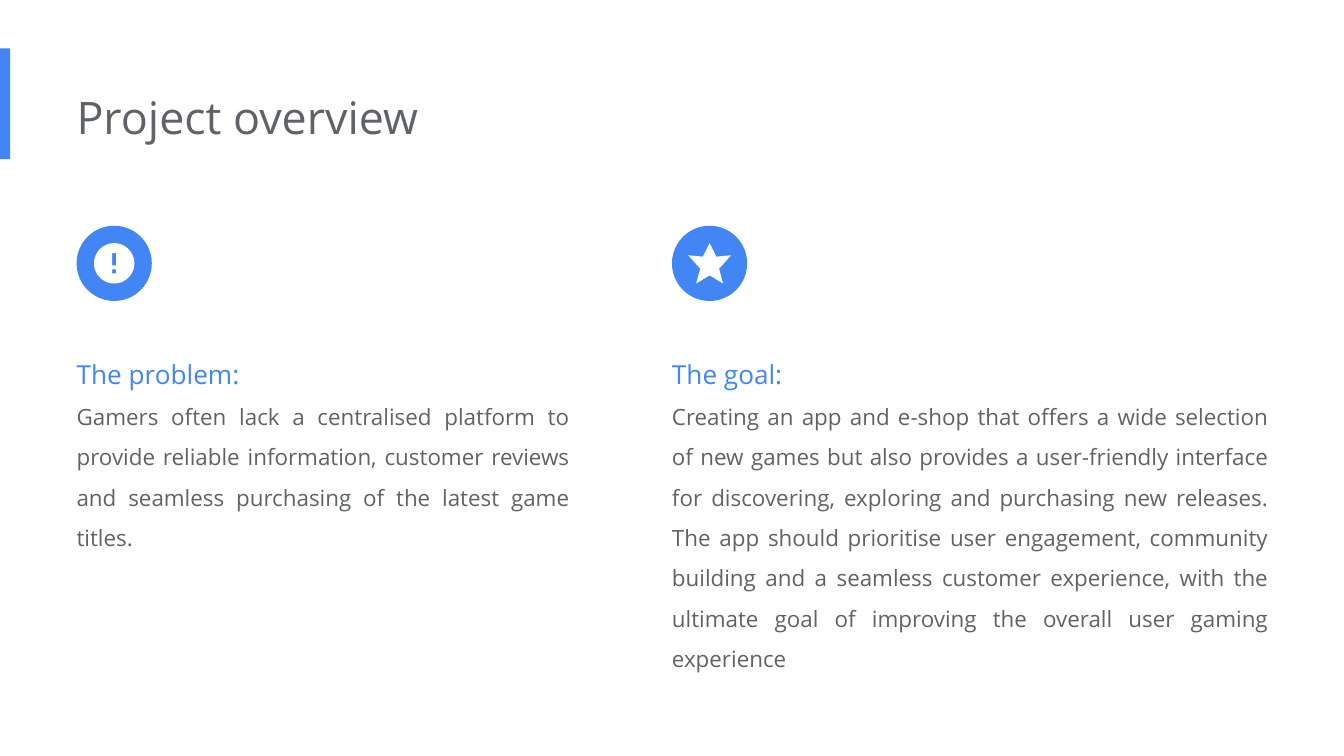
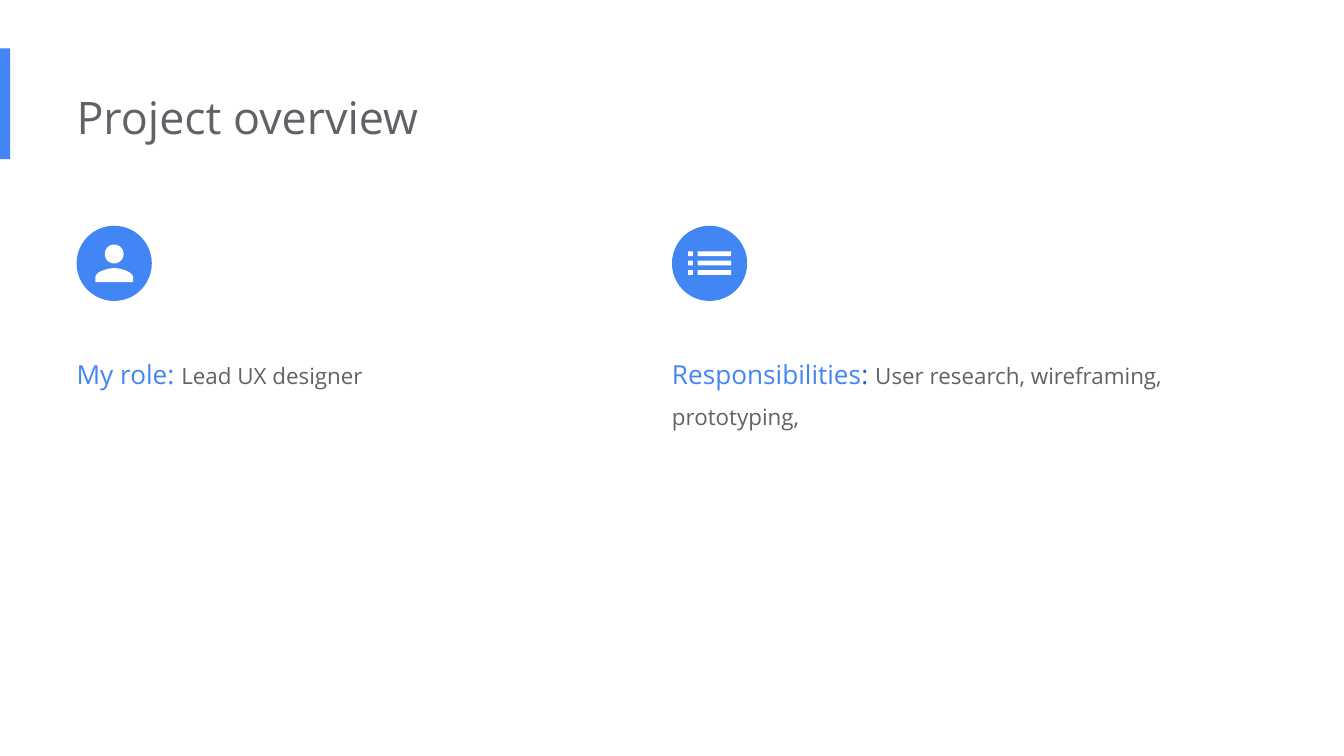
from dataclasses import dataclass
from math import cos, pi, sin

from pptx import Presentation
from pptx.dml.color import RGBColor
from pptx.enum.shapes import MSO_SHAPE
from pptx.enum.text import MSO_ANCHOR, MSO_AUTO_SIZE, PP_ALIGN
from pptx.util import Emu, Pt

PX = 4572
RECTANGLE = MSO_SHAPE.RECTANGLE
OVAL = MSO_SHAPE.OVAL
TOP = MSO_ANCHOR.TOP
GROW = MSO_AUTO_SIZE.SHAPE_TO_FIT_TEXT
LEFT = PP_ALIGN.LEFT
JUSTIFY = PP_ALIGN.JUSTIFY


@dataclass(frozen=True)
class Theme:
    font: str = "Open Sans"
    paper: str = "FFFFFF"
    accent: str = "4285F4"
    deep: str = "1967D2"
    ink: str = "5F6368"
    title: int = 24
    heading: int = 14
    body: int = 12
    spacing: float = 1.5


THEME = Theme()
LEFT_COLUMN, RIGHT_COLUMN = 114, 1000
BADGE_TOP, BADGE_SIZE = 336, 112
TEXT_TOP, TEXT_WIDTH = 490, 754
INSET = 20


def px(length):
    return Emu(round(length * PX))


def rectangle(left, top, right, bottom):
    return [(left, top), (right, top), (right, bottom), (left, bottom)]


def circle(x, y, radius, steps=72):
    angles = [2 * pi * step / steps for step in range(steps)]
    return [(x + radius * cos(a), y + radius * sin(a)) for a in angles]


def curve(start, first, second, end, steps=24):
    points = []
    for step in range(steps + 1):
        t = step / steps
        weights = ((1 - t) ** 3, 3 * t * (1 - t) ** 2, 3 * t * t * (1 - t), t ** 3)
        controls = (start, first, second, end)
        points.append(tuple(sum(w * point[axis] for w, point in zip(weights, controls))
                            for axis in (0, 1)))
    return points


def mirrored(points):
    return points + [(-x, y) for x, y in reversed(points)]


def alert_icon():
    return [circle(0, 0, 30), rectangle(-3, -15, 3, 3), rectangle(-3, 9, 3, 15)]


def star_icon():
    return [mirrored([(0, -30), (10, -10), (32, -12), (14, 8), (20, 30), (0, 18)])]


def person_icon():
    shoulder = curve((0, 7), (9, 7), (28, 12), (28, 21))
    return [circle(0, -14, 14), mirrored(shoulder + [(28, 28)])]


def list_icon():
    return [rectangle(left, top, right, top + 7)
            for left, right in ((-32, -25), (-18, 32))
            for top in range(-18, 11, 14)]


class Pages:
    def __init__(self, theme):
        self.theme = theme
        self.deck = Presentation()
        self.deck.slide_width = px(2000)
        self.deck.slide_height = px(1125)
        self.page = None

    def new_page(self, title):
        self.page = self.deck.slides.add_slide(self.deck.slide_layouts[6])
        self.page.background.fill.solid()
        self.page.background.fill.fore_color.rgb = RGBColor.from_string(self.theme.paper)
        self.shape(RECTANGLE, 0, 72, 15, 165)
        self.text(LEFT_COLUMN, 114, 1346, 122,
                  [(LEFT, [(title, self.theme.title, self.theme.ink)])], 1.0)

    def paint(self, shape, color):
        shape.shadow.inherit = False
        shape.fill.solid()
        shape.fill.fore_color.rgb = RGBColor.from_string(color)
        shape.line.fill.background()

    def shape(self, kind, left, top, width, height):
        shape = self.page.shapes.add_shape(kind, px(left), px(top), px(width), px(height))
        self.paint(shape, self.theme.accent)

    def outline(self, contours, x, y):
        placed = [[(px(x + dx), px(y + dy)) for dx, dy in contour] for contour in contours]
        builder = self.page.shapes.build_freeform(*placed[0][0], scale=1.0)
        builder.add_line_segments(placed[0][1:], close=True)
        for contour in placed[1:]:
            builder.move_to(*contour[0])
            builder.add_line_segments(contour[1:], close=True)
        self.paint(builder.convert_to_shape(), self.theme.paper)

    def badge(self, left, icon):
        self.shape(OVAL, left, BADGE_TOP, BADGE_SIZE, BADGE_SIZE)
        self.outline(icon, left + BADGE_SIZE // 2, BADGE_TOP + BADGE_SIZE // 2)

    def text(self, left, top, width, height, paragraphs, spacing):
        box = self.page.shapes.add_textbox(px(left), px(top), px(width), px(height))
        frame = box.text_frame
        frame.word_wrap = True
        frame.auto_size = GROW
        frame.vertical_anchor = TOP
        frame.margin_left = 0
        frame.margin_top = frame.margin_right = frame.margin_bottom = px(INSET)
        for index, (alignment, spans) in enumerate(paragraphs):
            para = frame.add_paragraph() if index else frame.paragraphs[0]
            para.alignment = alignment
            para.line_spacing = spacing
            for words, size, color in spans:
                span = para.add_run()
                span.text = words
                span.font.name = self.theme.font
                span.font.size = Pt(size)
                span.font.color.rgb = RGBColor.from_string(color)

    def column(self, left, icon, height, paragraphs, width=TEXT_WIDTH):
        self.badge(left, icon)
        self.text(left, TEXT_TOP, width, height, paragraphs, self.theme.spacing)

    def heading(self, words):
        return words, self.theme.heading, self.theme.accent

    def body(self, words):
        return words, self.theme.body, self.theme.ink


def main():
    pages = Pages(THEME)
    heading, body = pages.heading, pages.body

    pages.new_page("Project overview")
    pages.column(LEFT_COLUMN, alert_icon(), 334, [
        (LEFT, [heading("The problem:")]),
        (JUSTIFY, [body(
            "Gamers often lack a centralised platform to provide reliable information, "
            "customer reviews and seamless purchasing of the latest game titles.")]),
    ])
    pages.column(RIGHT_COLUMN, star_icon(), 516, [
        (JUSTIFY, [heading("The goal:")]),
        (JUSTIFY, [body(
            "Creating an app and e-shop that offers a wide selection of new games but also "
            "provides a user-friendly interface for discovering, exploring and purchasing "
            "new releases. The app should prioritise user engagement, community building "
            "and a seamless customer experience, with the ultimate goal of improving the "
            "overall user gaming experience")]),
    ], width=908)

    pages.new_page("Project overview")
    pages.column(LEFT_COLUMN, person_icon(), 88, [
        (LEFT, [heading("My role: "), body("Lead UX designer")]),
    ])
    pages.column(RIGHT_COLUMN, list_icon(), 152, [
        (LEFT, [heading("Responsibilities"),
                (": ", THEME.heading, THEME.deep),
                body("User research, wireframing, prototyping,")]),
    ])

    pages.deck.save("out.pptx")


if __name__ == "__main__":
    main()
